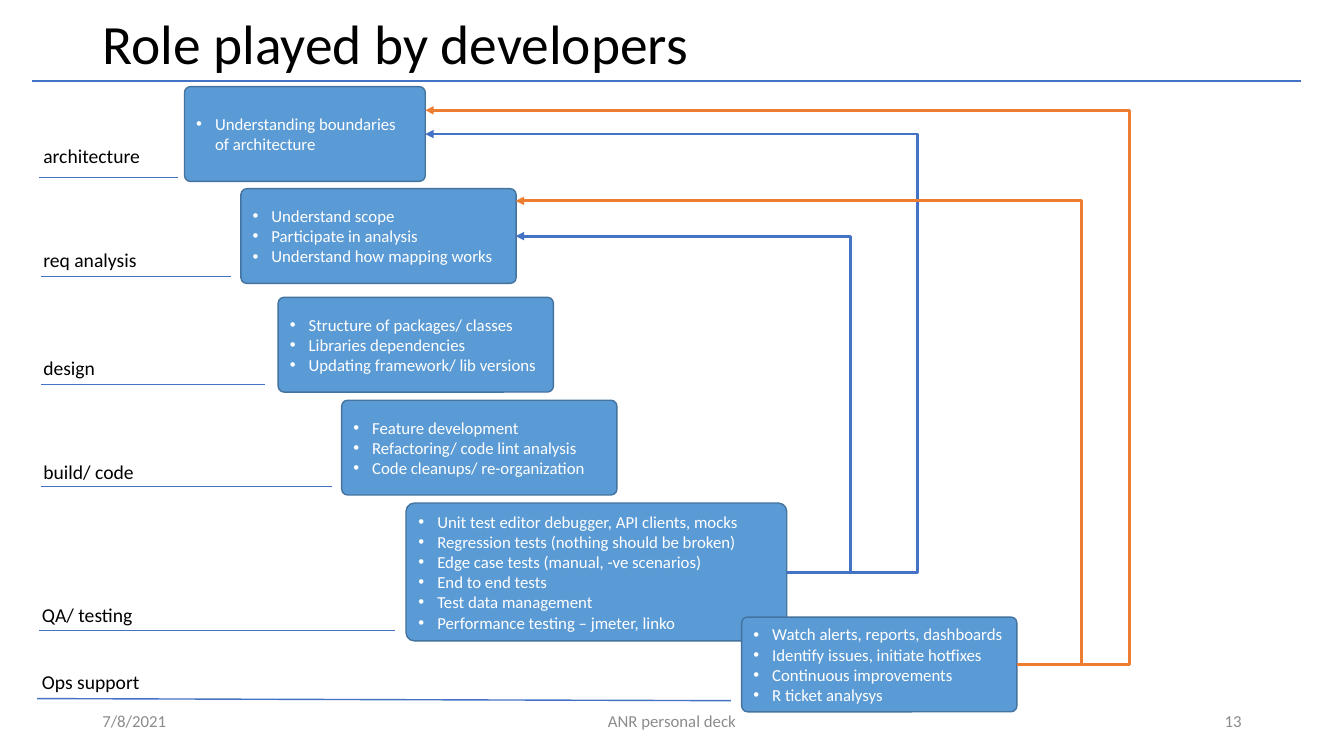
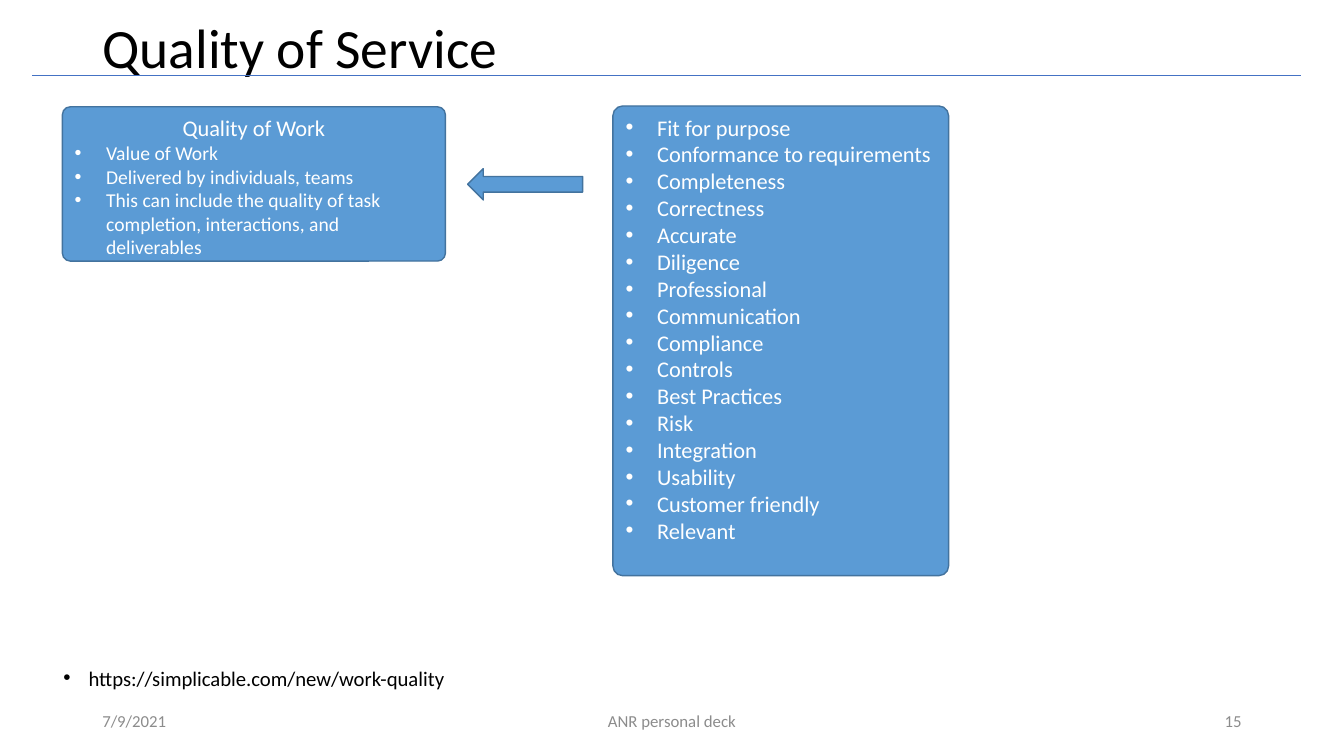
from lxml import etree
from pptx import Presentation
from pptx.dml.color import RGBColor
from pptx.enum.shapes import MSO_CONNECTOR, MSO_SHAPE
from pptx.enum.text import MSO_ANCHOR, MSO_AUTO_SIZE, PP_ALIGN
from pptx.oxml.ns import qn
from pptx.util import Pt

LEFT, CENTER, RIGHT = PP_ALIGN.LEFT, PP_ALIGN.CENTER, PP_ALIGN.RIGHT
TOP, MIDDLE = MSO_ANCHOR.TOP, MSO_ANCHOR.MIDDLE
STRAIGHT, ELBOW = MSO_CONNECTOR.STRAIGHT, MSO_CONNECTOR.ELBOW

FONT = "Calibri"
BLACK = RGBColor(0x00, 0x00, 0x00)
WHITE = RGBColor(0xFF, 0xFF, 0xFF)
GRAY = RGBColor(0x8C, 0x8C, 0x8C)
CARD_FILL = RGBColor(0x5B, 0x9B, 0xD5)
CARD_EDGE = RGBColor(0x43, 0x73, 0x9E)
BLUE = RGBColor(0x44, 0x72, 0xC4)
ORANGE = RGBColor(0xED, 0x7D, 0x31)


def write(frame, text, size, color, align=LEFT, indent=0):
    """Add one paragraph, with a bullet when it has an indent."""
    first = frame.paragraphs[0]
    paragraph = frame.add_paragraph() if first.runs else first
    paragraph.alignment = align
    if indent:
        props = paragraph._p.get_or_add_pPr()
        props.set("marL", str(Pt(indent)))
        props.set("indent", str(-Pt(indent)))
        etree.SubElement(props, qn("a:buFont"), typeface="Arial")
        etree.SubElement(props, qn("a:buChar"), char="•")
    run = paragraph.add_run()
    run.text = text
    run.font.name = FONT
    run.font.size = Pt(size)
    run.font.color.rgb = color
    return paragraph


def add_line(slide, start, end, color, width, bend_x=None):
    """Draw a plain line, or an elbow arrow that turns at bend_x."""
    kind = STRAIGHT if bend_x is None else ELBOW
    line = slide.shapes.add_connector(kind, *map(Pt, start + end))
    line.line.color.rgb = color
    line.line.width = Pt(width)
    props = line._element.spPr
    if bend_x is not None:
        share = (bend_x - start[0]) / (end[0] - start[0])
        guides = props.find(qn("a:prstGeom")).get_or_add_avLst()
        etree.SubElement(guides, qn("a:gd"), name="adj1",
                         fmla=f"val {round(share * 100000)}")
        etree.SubElement(props.find(qn("a:ln")), qn("a:tailEnd"), type="triangle")
    etree.SubElement(props, qn("a:effectLst"))


deck = Presentation()
deck.slide_width, deck.slide_height = Pt(960), Pt(540)

# Shared frame: title, footer, rule
pages = [
    ("Role played by developers", 7.2, 51.8, 57.6, "7/8/2021", "13"),
    ("Quality of Service", 10.8, 51.1, 54, "7/9/2021", "15"),
]
slides = []
for heading, top, height, rule_y, date, number in pages:
    slide = deck.slides.add_slide(deck.slide_layouts[5])
    slides.append(slide)
    title = slide.shapes.title
    title.left, title.top = Pt(66), Pt(top)
    title.width, title.height = Pt(828), Pt(height)
    title.text_frame.auto_size = MSO_AUTO_SIZE.NONE
    title.text_frame.vertical_anchor = MIDDLE
    write(title.text_frame, heading, 39.6, BLACK).line_spacing = 0.9

    footers = [(66, 216, date, LEFT), (318, 324, "ANR personal deck", CENTER),
               (678, 216, number, RIGHT)]
    for left, width, text, align in footers:
        footer = slide.shapes.add_textbox(Pt(left), Pt(500.5), Pt(width), Pt(28.8))
        footer.text_frame.word_wrap = True
        footer.text_frame.vertical_anchor = MIDDLE
        write(footer.text_frame, text, 12, GRAY, align)
    add_line(slide, (23, rule_y), (929.5, rule_y), BLUE, 1.25)

roles, quality = slides

# Cards of both slides: place, corner, anchor, heading, bullet size and indent, bullets
ROLE_STYLE = (0.062, MIDDLE, None, 12, 13.5)
cards = [
    (roles, (131.8, 61.9, 172, 67.7), ROLE_STYLE,
     ["Understanding boundaries of architecture"]),
    (roles, (172.1, 134.8, 196.6, 67.7), ROLE_STYLE,
     ["Understand scope", "Participate in analysis", "Understand how mapping works"]),
    (roles, (198.7, 212.4, 196.6, 67.7), ROLE_STYLE,
     ["Structure of packages/ classes", "Libraries dependencies",
      "Updating framework/ lib versions"]),
    (roles, (244.1, 285.9, 196.6, 67.7), ROLE_STYLE,
     ["Feature development", "Refactoring/ code lint analysis",
      "Code cleanups/ re-organization"]),
    (roles, (290, 359.3, 272, 98.5), ROLE_STYLE,
     ["Unit test editor debugger, API clients, mocks",
      "Regression tests (nothing should be broken)",
      "Edge case tests (manual, -ve scenarios)", "End to end tests",
      "Test data management", "Performance testing – jmeter, linko"]),
    (roles, (529.8, 440.8, 196.6, 67.7), ROLE_STYLE,
     ["Watch alerts, reports, dashboards", "Identify issues, initiate hotfixes",
      "Continuous improvements", "R ticket analysys"]),
    (quality, (44.6, 76.3, 273.6, 110.2), (0.051, TOP, "Quality of Work", 14, 22.5),
     ["Value of Work", "Delivered by individuals, teams",
      "This can include the quality of task completion, interactions, and deliverables"]),
    (quality, (437.8, 75.7, 239.8, 335.5), (0.029, TOP, None, 16, 22.5),
     ["Fit for purpose", "Conformance to requirements", "Completeness", "Correctness",
      "Accurate", "Diligence", "Professional", "Communication", "Compliance", "Controls",
      "Best Practices", "Risk", "Integration", "Usability", "Customer friendly",
      "Relevant"]),
]
blocks = []
for slide, place, (corner, anchor, heading, size, indent), bullets in cards:
    card = slide.shapes.add_shape(MSO_SHAPE.ROUNDED_RECTANGLE, *map(Pt, place))
    card.adjustments[0] = corner
    card.text_frame.word_wrap = True
    card.text_frame.vertical_anchor = anchor
    if heading:
        write(card.text_frame, heading, 16, WHITE, CENTER)
    for bullet in bullets:
        write(card.text_frame, bullet, size, WHITE, LEFT, indent)
    blocks.append(card)

# Arrow between the quality cards
blocks.append(quality.shapes.add_shape(
    MSO_SHAPE.LEFT_ARROW, Pt(334.1), Pt(120.5), Pt(82.1), Pt(22.3)))

for block in blocks:
    block.shadow.inherit = False
    block.fill.solid()
    block.fill.fore_color.rgb = CARD_FILL
    block.line.color.rgb = CARD_EDGE
    block.line.width = Pt(1)

# Stage labels, each with its underline
stages = [
    ("architecture", 23.8, 99.4, (28, 127), (127, 127)),
    ("req analysis", 23.8, 173.6, (29.5, 197.3), (165, 197.3)),
    ("design", 23.8, 250.8, (29.5, 274.8), (189.5, 274.8)),
    ("build/ code", 23.8, 325, (29.5, 347.6), (237, 347.6)),
    ("QA/ testing", 22.8, 427.4, (28, 450.2), (282, 450.2)),
    ("Ops support", 22.8, 475.2, (26.5, 499), (522, 500.5)),
]
for stage, left, top, start, end in stages:
    label = roles.shapes.add_textbox(Pt(left), Pt(top), Pt(94.3), Pt(24.3))
    label.text_frame.word_wrap = True
    write(label.text_frame, stage, 14, BLACK)
    add_line(roles, start, end, BLUE, 1)

# Feedback from testing (blue) and from operations (orange)
testing, operations = (562, 408.7), (726.4, 474.9)
feedback = [
    (testing, (303.8, 95.8), BLUE, 655.2),
    (testing, (368.3, 168.7), BLUE, 607.5),
    (operations, (303.8, 78.8), ORANGE, 807.2),
    (operations, (368.3, 143.5), ORANGE, 772.7),
]
for start, end, color, bend_x in feedback:
    add_line(roles, start, end, color, 2, bend_x)

# Reference for the quality slide
reference = quality.shapes.add_textbox(Pt(38.2), Pt(475.2), Pt(828), Pt(22.3))
reference.text_frame.word_wrap = True
write(reference.text_frame, "https://simplicable.com/new/work-quality",
      14.8, BLACK, LEFT, 18).line_spacing = 0.8

deck.save("out.pptx")
